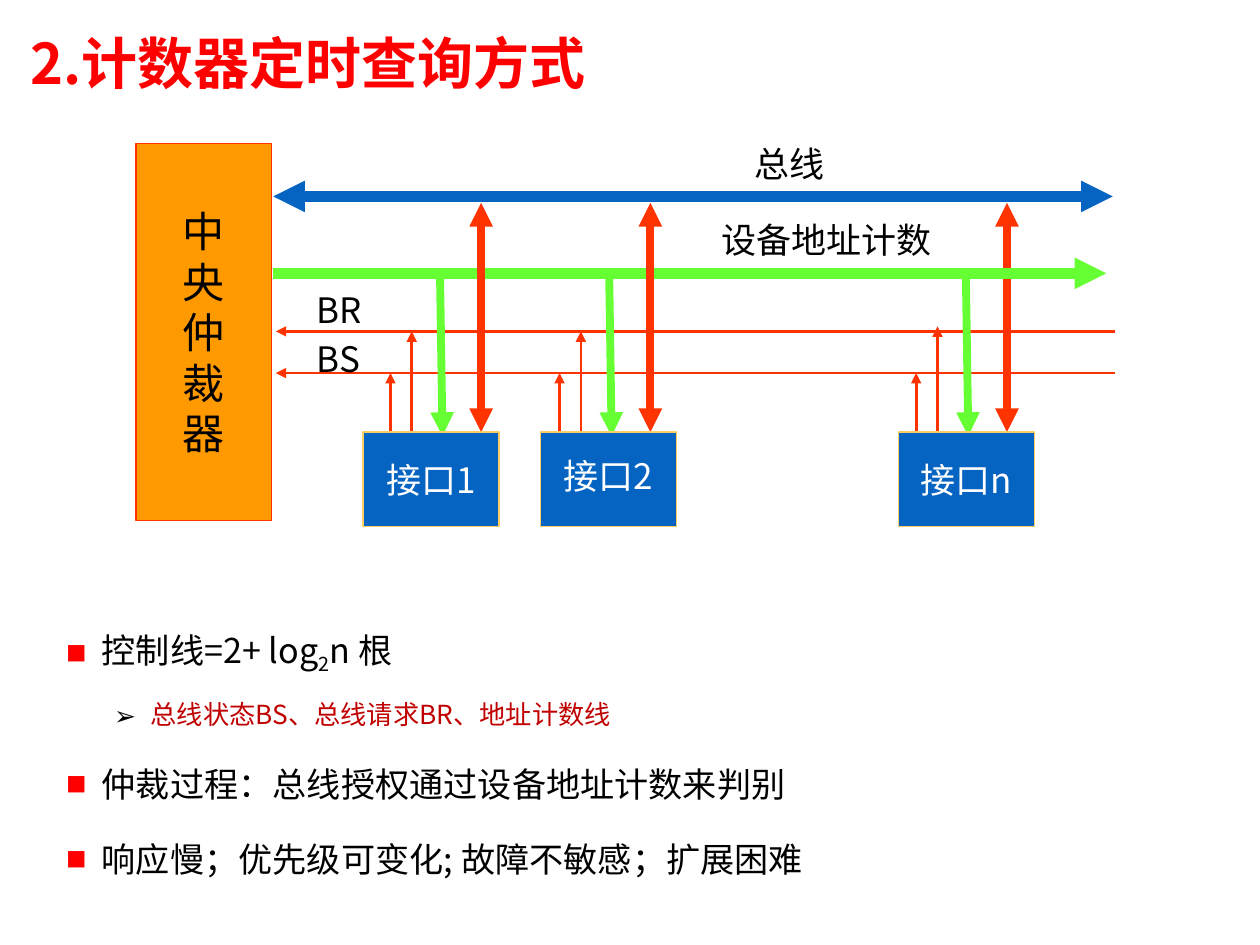
from dataclasses import dataclass, field

from pptx import Presentation
from pptx.dml.color import RGBColor
from pptx.enum.shapes import MSO_CONNECTOR as Connector, MSO_SHAPE as Shape
from pptx.enum.text import MSO_ANCHOR as Anchor, PP_ALIGN as Align
from pptx.oxml.ns import qn
from pptx.slide import Slide
from pptx.util import Cm, Pt
from lxml.etree import SubElement

COLORS = {
    "title": "FF0000", "text": "000000", "note": "C00000", "white": "FFFFFF",
    "bus": "0563C1", "control": "FF3300", "count": "66FF33",
    "arbiter": "FF9900", "edge": "FFCC66",
}


def rgb(name):
    return RGBColor.from_string(COLORS[name])


def write_text(paragraph, text, *, font, size, color="text", bold=False, baseline=None):
    run = paragraph.add_run()
    run.text = text
    run.font.name = font
    run.font.size = Pt(size)
    run.font.bold = bold
    run.font.color.rgb = rgb(color)
    properties = run._r.get_or_add_rPr()
    SubElement(properties, qn("a:ea"), typeface=font)
    if baseline is not None:
        properties.set("baseline", str(baseline * 1000))


@dataclass
class Diagram:
    slide: Slide
    font: str = "Noto Sans CJK SC"
    size: float = 20
    box_width: float = 2.74
    box_top: float = 8.71
    bus_levels: dict = field(default_factory=lambda: {
        "bus": 3.96, "count": 5.51, "BR": 6.68, "BS": 7.52})

    def text_box(self, left, top, width, height):
        box = self.slide.shapes.add_textbox(Cm(left), Cm(top), Cm(width), Cm(height))
        box.text_frame.word_wrap = True
        return box.text_frame

    def label(self, text, left, top, width):
        paragraph = self.text_box(left, top, width, 1.09).paragraphs[0]
        paragraph.alignment = Align.CENTER
        write_text(paragraph, text, font=self.font, size=self.size)

    def title(self, text):
        frame = self.text_box(0.36, 0.48, 24.69, 1.73)
        frame.vertical_anchor = Anchor.MIDDLE
        paragraph = frame.paragraphs[0]
        paragraph.line_spacing = 0.9
        write_text(paragraph, text, font=self.font, size=32, color="title", bold=True)

    def block(self, lines, left, top, height, fill, edge, size, color, lift=0):
        block = self.slide.shapes.add_shape(
            Shape.RECTANGLE, Cm(left), Cm(top), Cm(self.box_width), Cm(height))
        block.shadow.inherit = False
        block.fill.solid()
        block.fill.fore_color.rgb = rgb(fill)
        block.line.color.rgb = rgb(edge)
        block.line.width = Pt(0.75)
        frame = block.text_frame
        frame.word_wrap = False
        frame.vertical_anchor = Anchor.MIDDLE
        frame.margin_bottom = Cm(0.13 + lift)
        for index, line in enumerate(lines):
            paragraph = frame.add_paragraph() if index else frame.paragraphs[0]
            paragraph.alignment = Align.CENTER
            write_text(paragraph, line, font=self.font, size=size, color=color)

    def arrow(self, start, end, color, width, both=False):
        arrow = self.slide.shapes.add_connector(
            Connector.STRAIGHT, *(Cm(value) for value in (*start, *end)))
        arrow.line.color.rgb = rgb(color)
        arrow.line.width = Pt(width)
        line = arrow.line._get_or_add_ln()
        if both:
            SubElement(line, qn("a:headEnd"), type="triangle")
        SubElement(line, qn("a:tailEnd"), type="triangle")
        SubElement(arrow._element.spPr, qn("a:effectLst"))

    def interface(self, text, left, status_x, request_tip, lift=0):
        request_x, count_x, data_x = (status_x + gap for gap in (0.43, 1.0, 1.83))
        levels, top = self.bus_levels, self.box_top
        self.arrow((status_x, top), (status_x, levels["BS"]), "control", 1.5)
        self.arrow((request_x, top), (request_x, request_tip), "control", 1.5)
        self.arrow((data_x, 4.09), (data_x, top), "control", 4.5, both=True)
        self.arrow((count_x, levels["count"]), (count_x + 0.05, 8.79), "count", 4.5)
        self.block([text], left, top, 1.9, "bus", "edge", self.size, "white", lift)

    def bullet(self, paragraph, mark, mark_color, mark_size, margin, hanging):
        properties = paragraph._p.get_or_add_pPr()
        properties.set("marL", str(Cm(margin)))
        properties.set("indent", str(-Cm(hanging)))
        color = SubElement(properties, qn("a:buClr"))
        SubElement(color, qn("a:srgbClr"), val=COLORS[mark_color])
        SubElement(properties, qn("a:buSzPct"), val=str(mark_size * 1000))
        SubElement(properties, qn("a:buFont"), typeface=self.font)
        SubElement(properties, qn("a:buChar"), char=mark)

    def points(self, items):
        frame = self.text_box(1.09, 12.09, 22.83, 5.97)
        for index, (level, runs) in enumerate(items):
            paragraph = frame.add_paragraph() if index else frame.paragraphs[0]
            if level:
                self.bullet(paragraph, "➢", "text", 100, 1.7, 0.74)
                size, color, space = 15, "note", 3.8
            else:
                self.bullet(paragraph, "■", "title", 60, 0.71, 0.71)
                size, color, space = 19.5, "text", 7.5
            paragraph.level = level
            paragraph.alignment = Align.JUSTIFY
            paragraph.line_spacing = 1.5
            paragraph.space_before = Pt(space if index else 0)
            for text, baseline in runs:
                write_text(paragraph, text, font=self.font, size=size,
                           color=color, baseline=baseline)


def main():
    deck = Presentation()
    deck.slide_width, deck.slide_height = Cm(25.4), Cm(19.05)
    diagram = Diagram(deck.slides.add_slide(deck.slide_layouts[6]))
    levels = diagram.bus_levels

    diagram.title("2.计数器定时查询方式")
    diagram.points([
        (0, [("控制线=2+ log", None), ("2", -25), ("n 根", None)]),
        (1, [("总线状态BS、总线请求BR、地址计数线", None)]),
        (0, [("仲裁过程：总线授权通过设备地址计数来判别", None)]),
        (0, [("响应慢；优先级可变化; 故障不敏感；扩展困难", None)]),
    ])

    diagram.arrow((5.51, levels["bus"]), (22.43, levels["bus"]), "bus", 6, both=True)
    for control in ("BR", "BS"):
        diagram.arrow((22.48, levels[control]), (5.56, levels[control]), "control", 1.5)
    diagram.interface("接口n", 18.11, 18.47, 6.58)
    diagram.arrow((5.51, levels["count"]), (22.3, levels["count"]), "count", 6)
    diagram.interface("接口1", 7.32, 7.87, levels["BR"])
    diagram.interface("接口2", 10.9, 11.28, levels["BR"], lift=0.16)
    diagram.block("中央仲裁器", 2.74, 2.9, 7.59, "arbiter", "control", 24, "text")

    for text, left, top, width in (
        ("总线", 14.33, 2.74, 3.18),
        ("设备地址计数", 14.22, 4.29, 4.88),
        ("BR", 5.99, 5.69, 1.7),
        ("BS", 5.97, 6.68, 1.7),
    ):
        diagram.label(text, left, top, width)

    deck.save("out.pptx")


if __name__ == "__main__":
    main()
